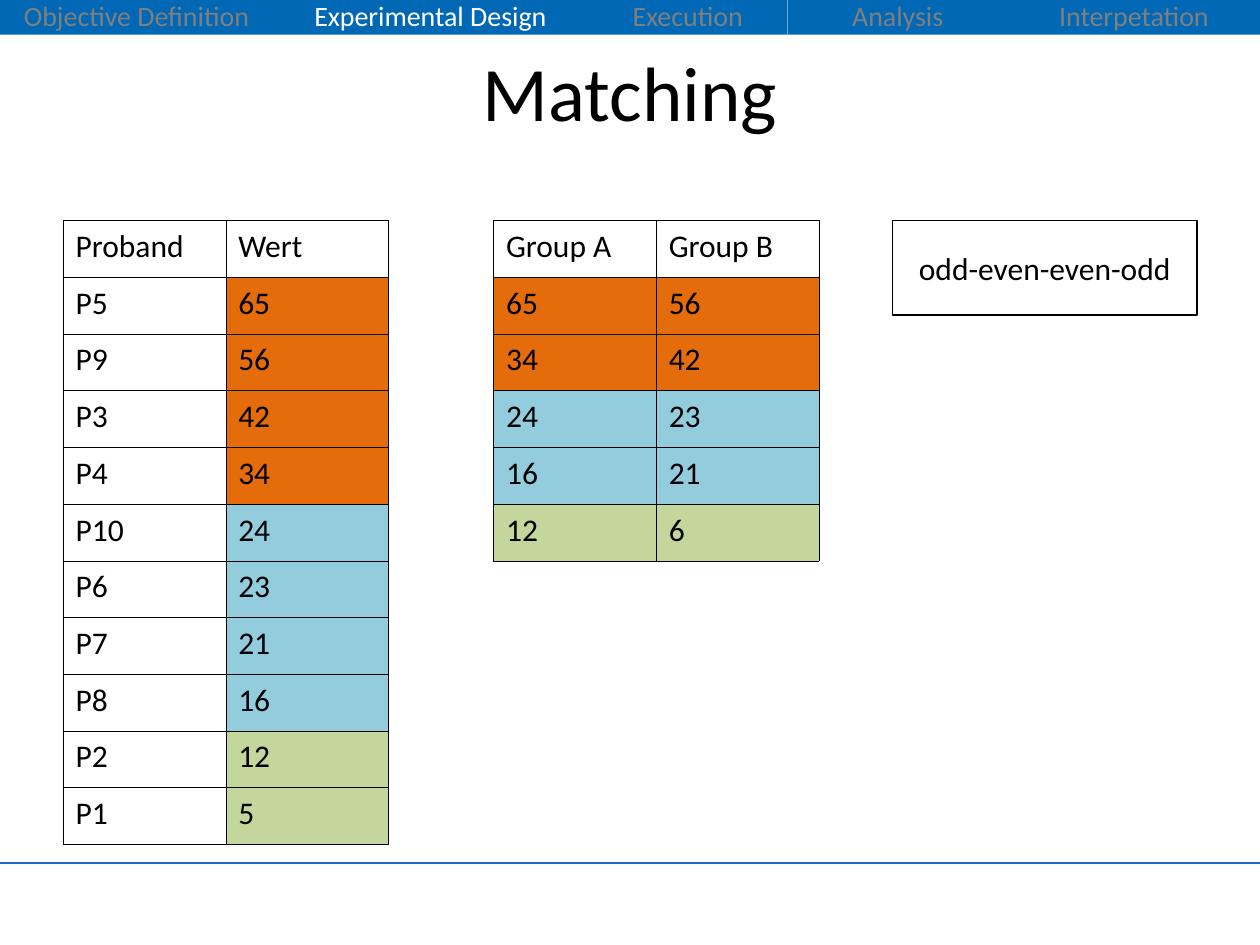
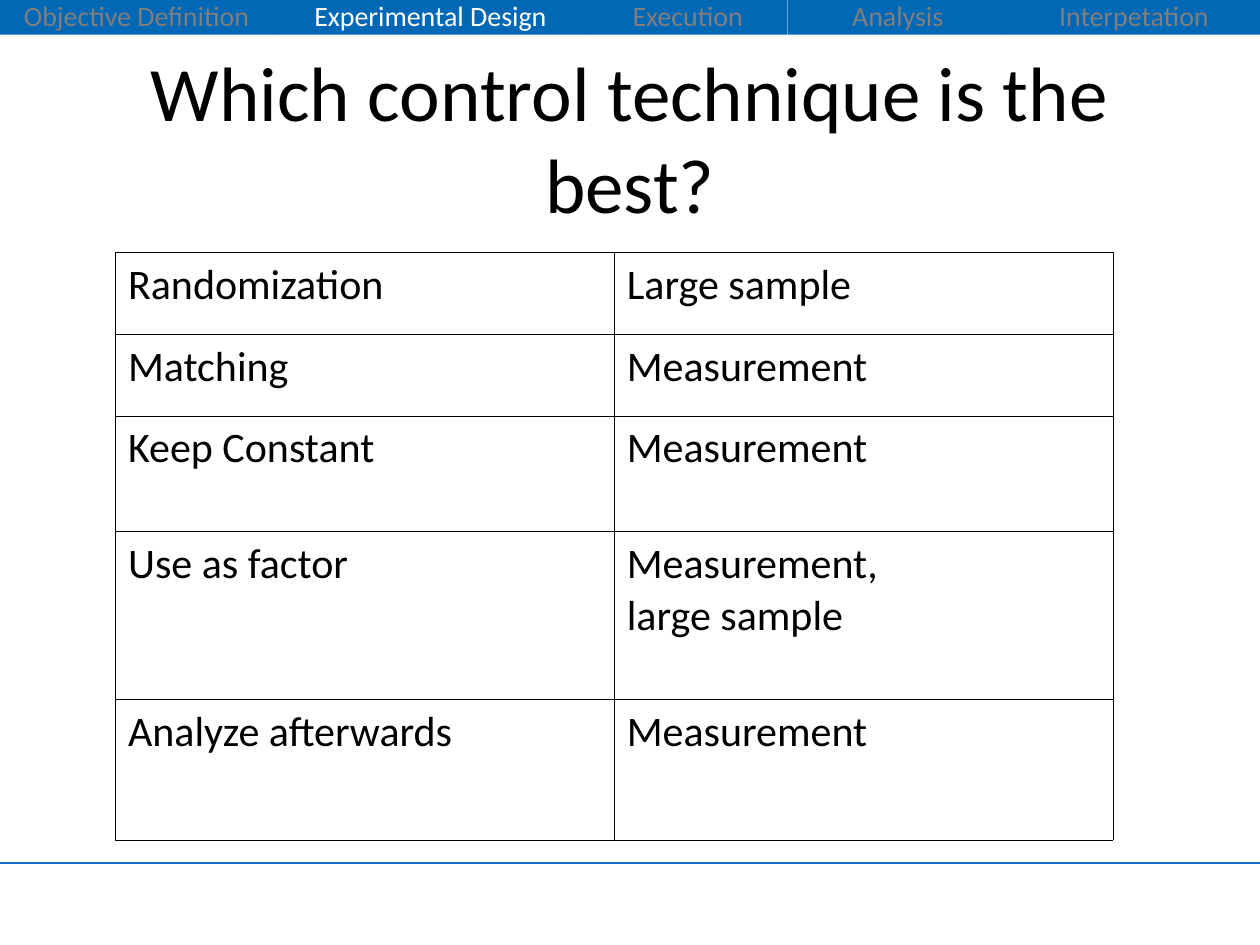
from itertools import pairwise

from lxml import etree
from pptx import Presentation
from pptx import util as u
from pptx.dml.color import RGBColor
from pptx.enum import shapes, text
from pptx.oxml import ns

COLUMNS, ROWS = 120, 90
SLIDE_WIDTH, SLIDE_HEIGHT = u.Inches(10), u.Inches(7.5)
FONT = "Calibri"
BLACK, WHITE, GREY = "000000", "FFFFFF", "7F7F7F"
BAND_BLUE, RULE_BLUE = "0168B5", "1B6BCC"
ORANGE, AQUA, GREEN = "E46C0A", "93CDDD", "C3D69B"

STAGES = ["Objective Definition", "Experimental Design", "Execution", "Analysis", "Interpetation"]
STAGE_EDGES = [0, 26, 56, 75, 96, 120]
CURRENT_STAGE = "Experimental Design"

PROBANDS = [
    ("Proband", "Wert"), ("P5", "65"), ("P9", "56"), ("P3", "42"), ("P4", "34"), ("P10", "24"),
    ("P6", "23"), ("P7", "21"), ("P8", "16"), ("P2", "12"), ("P1", "5"),
]
GROUPS = [
    ("Group A", "Group B"), ("65", "56"), ("34", "42"), ("24", "23"), ("16", "21"), ("12", "6"),
]
TECHNIQUES = [
    ("Randomization", "Large sample"),
    ("Matching", "Measurement"),
    ("Keep Constant", "Measurement"),
    ("Use as factor", "Measurement,\nlarge sample"),
    ("Analyze afterwards", "Measurement"),
]


def across(columns):
    return round(SLIDE_WIDTH * columns / COLUMNS)


def down(rows):
    return round(SLIDE_HEIGHT * rows / ROWS)


def area(left, top, width, height):
    return across(left), down(top), across(width), down(height)


def color(hex_code):
    return RGBColor.from_string(hex_code)


def write(frame, words, size, ink=BLACK, align=text.PP_ALIGN.LEFT, spacing=1.0):
    frame.text = words
    for paragraph in frame.paragraphs:
        paragraph.alignment = align
        paragraph.line_spacing = spacing
        paragraph.font.size = u.Pt(size)
        paragraph.font.name = FONT
        paragraph.font.color.rgb = color(ink)


def add_box(slide, place, words, size, fill, ink=BLACK, outline=None, spacing=1.0):
    box = slide.shapes.add_shape(shapes.MSO_SHAPE.RECTANGLE, *area(*place))
    box.shadow.inherit = False
    box.fill.solid()
    box.fill.fore_color.rgb = color(fill)
    if outline:
        box.line.color.rgb = color(outline)
        box.line.width = u.Pt(0.75)
    else:
        box.line.fill.background()
    box.text_frame.vertical_anchor = text.MSO_ANCHOR.MIDDLE
    write(box.text_frame, words, size, ink, text.PP_ALIGN.CENTER, spacing)


def add_stage_band(slide):
    for stage, (left, right) in zip(STAGES, pairwise(STAGE_EDGES)):
        ink = WHITE if stage == CURRENT_STAGE else GREY
        add_box(slide, (left, 0, right - left, 3.3), stage, 16, BAND_BLUE, ink, spacing=0.93)


def add_footer_rule(slide):
    height = down(82.2)
    rule = slide.shapes.add_connector(
        shapes.MSO_CONNECTOR.STRAIGHT, 0, height, SLIDE_WIDTH, height)
    rule.line.color.rgb = color(RULE_BLUE)
    rule.line.width = u.Pt(0.75)
    etree.SubElement(rule._element.spPr, ns.qn("a:effectLst"))


def add_slide(deck, heading):
    slide = deck.slides.add_slide(deck.slide_layouts[5])
    add_footer_rule(slide)
    add_stage_band(slide)
    title = slide.shapes.title
    title.left, title.top, title.width, title.height = area(6, 3.6, 108, 15)
    title.text_frame.auto_size = text.MSO_AUTO_SIZE.NONE
    title.text_frame.vertical_anchor = text.MSO_ANCHOR.TOP
    write(title.text_frame, heading, 44, align=text.PP_ALIGN.CENTER)
    return slide


def draw_borders(cell):
    properties = cell._tc.get_or_add_tcPr()
    for side in ("lnL", "lnR", "lnT", "lnB"):
        border = etree.SubElement(properties, ns.qn(f"a:{side}"), w=str(u.Pt(0.23)))
        fill = etree.SubElement(border, ns.qn("a:solidFill"))
        etree.SubElement(fill, ns.qn("a:srgbClr"), val=BLACK)


def add_grid(slide, left, top, column_width, row_heights, entries, size, fills=None):
    columns = len(entries[0])
    place = area(left, top, column_width * columns, sum(row_heights))
    table = slide.shapes.add_table(len(entries), columns, *place).table
    table.first_row = table.horz_banding = False
    for column in table.columns:
        column.width = across(column_width)
    for row, height in zip(table.rows, row_heights):
        row.height = down(height)
    for r, entry in enumerate(entries):
        for c, words in enumerate(entry):
            cell = table.cell(r, c)
            write(cell.text_frame, words, size, spacing=1.02)
            draw_borders(cell)
            fill = (fills or {}).get((r, c))
            if fill:
                cell.fill.solid()
                cell.fill.fore_color.rgb = color(fill)
            else:
                cell.fill.background()


def value_fills(entries, value_columns, orange_rows, aqua_rows, green_rows):
    row_colors = [ORANGE] * orange_rows + [AQUA] * aqua_rows + [GREEN] * green_rows
    return {(r, c): fill for r, fill in enumerate(row_colors, start=1) for c in value_columns}


def add_matching_slide(deck):
    slide = add_slide(deck, "Matching")
    for left, entries, fills in (
        (6, PROBANDS, value_fills(PROBANDS, [1], 4, 4, 2)),
        (47, GROUPS, value_fills(GROUPS, [0, 1], 2, 2, 1)),
    ):
        add_grid(slide, left, 21, 15.5, [5.4] * len(entries), entries, 18, fills)
    add_box(slide, (85, 21, 29, 9), "odd-even-even-odd", 18, WHITE, outline=BLACK)


def add_technique_slide(deck):
    slide = add_slide(deck, "Which control technique is the best?")
    add_grid(slide, 11, 24, 47.5, [7.8, 7.8, 11, 16, 13.4], TECHNIQUES, 24)


def main():
    deck = Presentation()
    deck.slide_width, deck.slide_height = SLIDE_WIDTH, SLIDE_HEIGHT
    add_matching_slide(deck)
    add_technique_slide(deck)
    deck.save("out.pptx")


if __name__ == "__main__":
    main()
